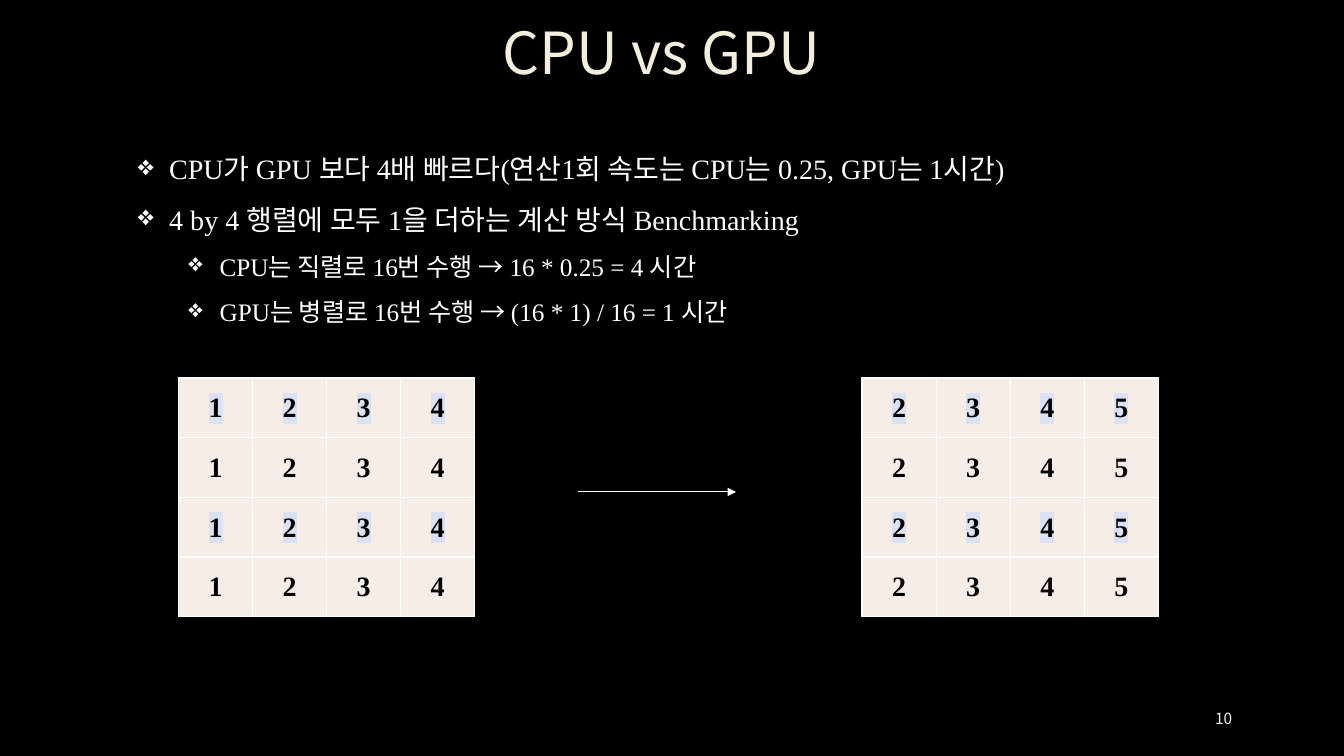
from dataclasses import dataclass

from lxml import etree
from pptx import Presentation
from pptx import util as u
from pptx.dml.color import RGBColor
from pptx.enum import shapes, text
from pptx.oxml import ns

SANS, SERIF = "Noto Sans CJK KR", "Times New Roman"
WHITE, BLACK, CREAM = "FFFFFF", "000000", "F4EEDC"
PALE, CELL, MARK = "F2F2F2", "F6EDE7", "D9E1F2"
LEFT, MID, RIGHT = text.PP_ALIGN.LEFT, text.PP_ALIGN.CENTER, text.PP_ALIGN.RIGHT


@dataclass
class Line:
    words: str
    size: float
    face: str = SERIF
    tint: str = WHITE
    align: text.PP_ALIGN = LEFT
    space: float = 1.0
    bold: bool = False
    level: int = 0
    bullet: str = ""


@dataclass
class Box:
    left: float
    top: float
    width: float
    height: float
    lines: list[Line]
    anchor: text.MSO_ANCHOR = text.MSO_ANCHOR.MIDDLE


@dataclass
class Grid:
    left: float
    first: int


def color(code: str) -> RGBColor:
    return RGBColor.from_string(code)


def child(node, tag: str, **attrs: str):
    return etree.SubElement(node, ns.qn(tag), attrs)


def write(para, line: Line) -> None:
    para.text = line.words
    para.alignment = line.align
    para.level = line.level
    if line.bullet:
        props = para._p.get_or_add_pPr()
        props.set("marL", str(u.Inches(0.31 + 0.5 * line.level)))
        props.set("indent", str(u.Inches(-0.31)))
        child(props, "a:buChar", char=line.bullet)
    para.line_spacing = line.space
    font = para.font
    font.size, font.name, font.bold = u.Pt(line.size), line.face, line.bold
    font.color.rgb = color(line.tint)


def draw_box(slide, box: Box) -> None:
    frame = slide.shapes.add_textbox(
        u.Inches(box.left), u.Inches(box.top),
        u.Inches(box.width), u.Inches(box.height)).text_frame
    frame.word_wrap = True
    frame.vertical_anchor = box.anchor
    for i, line in enumerate(box.lines):
        write(frame.add_paragraph() if i else frame.paragraphs[0], line)


def edge(cell) -> None:
    props = cell._tc.get_or_add_tcPr()
    for side in ("a:lnL", "a:lnR", "a:lnT", "a:lnB"):
        rule = child(props, side, w=str(u.Pt(1)))
        child(child(rule, "a:solidFill"), "a:srgbClr", val=WHITE)


def draw_grid(slide, grid: Grid) -> None:
    table = slide.shapes.add_table(
        4, 4, u.Inches(grid.left), u.Inches(3.75),
        u.Inches(2.94), u.Inches(2.37)).table
    table.first_row = table.horz_banding = False
    for r in range(4):
        for c in range(4):
            cell = table.cell(r, c)
            edge(cell)
            cell.fill.solid()
            cell.fill.fore_color.rgb = color(CELL)
            cell.vertical_anchor = text.MSO_ANCHOR.MIDDLE
            cell.margin_left = cell.margin_right = cell.margin_top = u.Inches(0.01)
            cell.margin_bottom = 0
            para = cell.text_frame.paragraphs[0]
            write(para, Line(str(grid.first + c), 20, tint=BLACK,
                             align=MID, bold=True))
            # Every other row has highlighted digits
            if r % 2 == 0:
                props = para.runs[0]._r.get_or_add_rPr()
                child(child(props, "a:highlight"), "a:srgbClr", val=MARK)


def draw_arrow(slide) -> None:
    arrow = slide.shapes.add_connector(
        shapes.MSO_CONNECTOR.STRAIGHT, u.Inches(5.73), u.Inches(4.88),
        u.Inches(7.3), u.Inches(4.88))
    arrow.line.width = u.Pt(0.75)
    arrow.line.color.rgb = color(WHITE)
    child(arrow.line._get_or_add_ln(), "a:tailEnd", type="triangle")
    child(arrow._element.spPr, "a:effectLst")


BOXES = [
    # Title
    Box(0.9, 0.25, 11.32, 0.6,
        [Line("CPU vs GPU", 41.4, SANS, CREAM, MID, 0.9)]),
    # Page number
    Box(11.5, 6.93, 0.82, 0.4, [Line("10", 11, SANS, PALE, RIGHT)]),
    # Benchmark notes
    Box(1.27, 1.29, 10.22, 1.97, [
        Line(words, 20 - 2 * level, space=1.5, level=level, bullet="❖")
        for level, words in (
            (0, "CPU가 GPU 보다 4배 빠르다(연산1회 속도는 CPU는 0.25, GPU는 1시간)"),
            (0, "4 by 4 행렬에 모두 1을 더하는 계산 방식 Benchmarking"),
            (1, "CPU는 직렬로 16번 수행 → 16 * 0.25 = 4 시간"),
            (1, "GPU는 병렬로 16번 수행 → (16 * 1) / 16 = 1 시간"),
        )], text.MSO_ANCHOR.TOP),
]
GRIDS = [Grid(1.77, 1), Grid(8.55, 2)]


def main() -> None:
    deck = Presentation()
    deck.slide_width, deck.slide_height = u.Inches(13.33), u.Inches(7.5)
    slide = deck.slides.add_slide(deck.slide_layouts[6])
    back = slide.background.fill
    back.solid()
    back.fore_color.rgb = color(BLACK)
    for box in BOXES:
        draw_box(slide, box)
    # Matrix before and after adding one
    for grid in GRIDS:
        draw_grid(slide, grid)
    draw_arrow(slide)
    deck.save("out.pptx")


if __name__ == "__main__":
    main()
